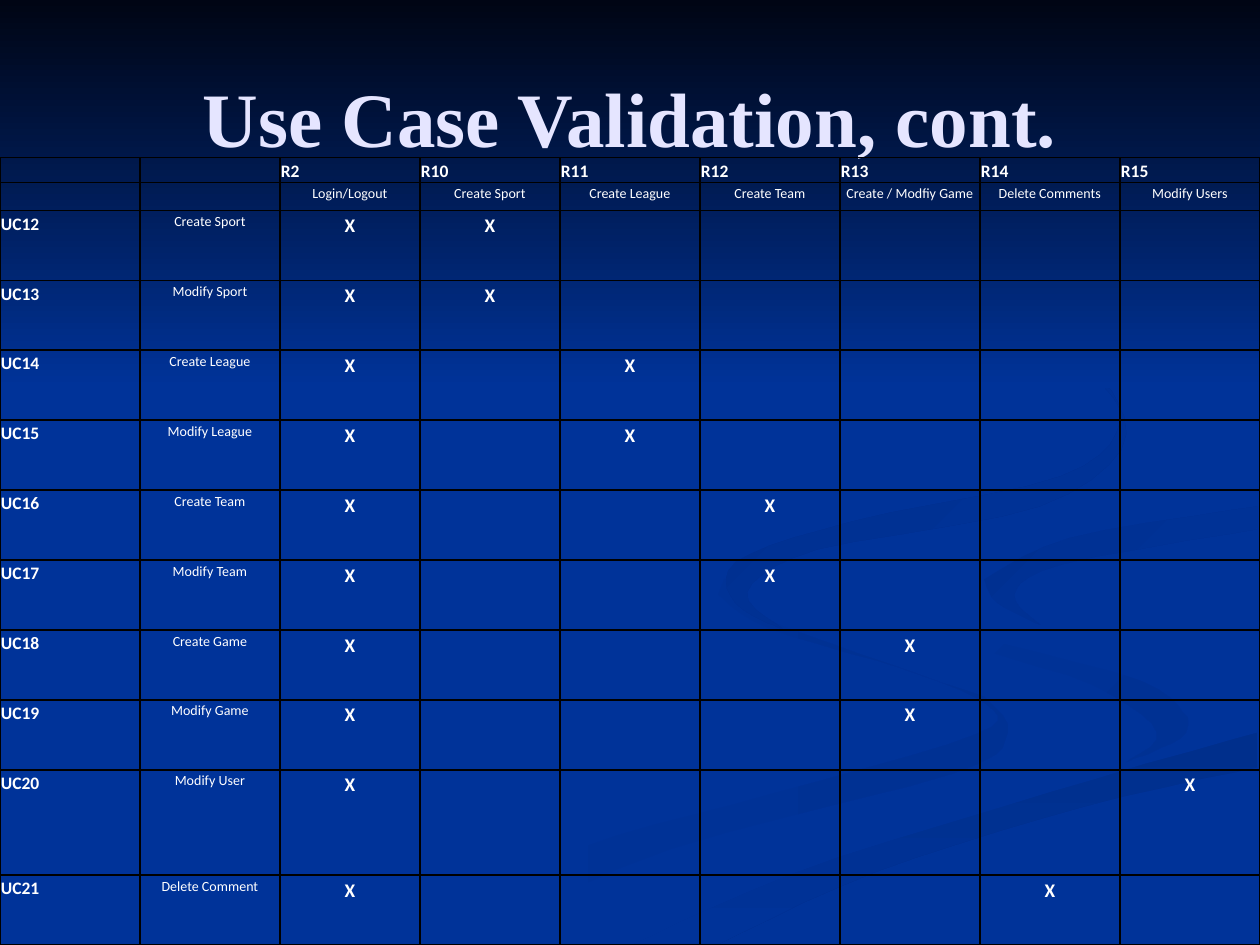
from dataclasses import dataclass
from typing import Optional

from lxml.etree import SubElement
from pptx import Presentation
from pptx.dml.color import RGBColor
from pptx.enum.shapes import MSO_SHAPE
from pptx.enum.text import MSO_ANCHOR, PP_ALIGN
from pptx.oxml.ns import qn
from pptx.util import Cm, Pt


@dataclass(frozen=True)
class Theme:
    base: str = "003399"
    night: str = "000514"
    title: str = "E5E5FF"
    text: str = "FFFFFF"
    border: str = "000000"
    title_font: str = "Times New Roman"
    body_font: str = "Calibri"
    title_size: int = 44
    code_size: int = 10
    name_size: int = 8
    mark_size: int = 11


@dataclass(frozen=True)
class Ribbon:
    start: str
    end: str
    angle: int
    edges: list  # smooth edges meeting at corners, in hundredths of an inch


@dataclass(frozen=True)
class Entry:
    text: str
    size: int
    bold: bool = True
    centred: bool = True


@dataclass(frozen=True)
class UseCase:
    code: str
    name: str
    requirement: str
    height: float = 1.41


T = Theme()
SLIDE_W, SLIDE_H = 25.4, 19.05
UNIT = Cm(0.0254)
CURVE_STEPS = 5

RIBBONS = [
    Ribbon(T.base, "003193", 0, [
        [(781, 553), (682, 519), (594, 485), (575, 459)],
        [(570, 472), (611, 499), (714, 530), (783, 559), (774, 583), (616, 629), (458, 674),
         (300, 749)],
        [(361, 749), (532, 674), (756, 614), (800, 581), (781, 553)]]),
    Ribbon(T.base, "003193", 45, [
        [(943, 570), (905, 540), (774, 503), (724, 464)],
        [(724, 464), (755, 505), (868, 544), (918, 581), (894, 605)],
        [(894, 605), (937, 586), (943, 570)]]),
    Ribbon("002F8C", T.base, 90, [
        [(571, 749), (695, 692), (861, 640), (998, 609)],
        [(998, 581), (831, 629), (630, 693), (503, 749)]]),
    Ribbon(T.base, T.base, 0, [
        [(725, 464), (775, 503), (905, 540), (943, 570), (911, 600), (704, 655), (477, 749)],
        [(503, 749), (630, 693), (832, 629), (999, 581)],
        [(999, 538), (866, 509), (781, 463), (850, 427), (999, 402)],
        [(999, 387), (851, 411), (742, 439), (725, 464)]]),
    Ribbon("003091", T.base, 45, [
        [(781, 460), (791, 478), (826, 496)],
        [(826, 496), (805, 472), (843, 448), (998, 420)],
        [(998, 402), (849, 427), (781, 460)]]),
    Ribbon("002F8E", T.base, 45, [
        [(762, 233), (862, 292), (889, 335), (842, 378), (676, 414), (584, 446), (584, 479),
         (622, 500)],
        [(622, 500), (593, 470), (649, 436), (825, 402), (894, 344), (843, 275), (762, 233)]]),
]

REQUIREMENTS = {
    "R2": "Login/Logout", "R10": "Create Sport", "R11": "Create League", "R12": "Create Team",
    "R13": "Create / Modfiy Game", "R14": "Delete Comments", "R15": "Modify Users",
}
SHARED_REQUIREMENT = "R2"
USE_CASES = [
    UseCase("UC12", "Create Sport", "R10"),
    UseCase("UC13", "Modify Sport", "R10"),
    UseCase("UC14", "Create League", "R11"),
    UseCase("UC15", "Modify League", "R11"),
    UseCase("UC16", "Create Team", "R12"),
    UseCase("UC17", "Modify Team", "R12"),
    UseCase("UC18", "Create Game", "R13"),
    UseCase("UC19", "Modify Game", "R13"),
    UseCase("UC20", "Modify User", "R15", 2.12),
    UseCase("UC21", "Delete Comment", "R14"),
]


def rgb(value: str) -> RGBColor:
    return RGBColor.from_string(value)


def paint(sp, start: str, end: str, angle: int) -> None:
    """Fill with a gradient whose angle runs clockwise."""
    sp.shadow.inherit = False
    sp.line.fill.background()
    sp.fill.gradient()
    sp.fill.gradient_angle = (360 - angle) % 360
    for stop, colour in zip(sp.fill.gradient_stops, (start, end)):
        stop.color.rgb = rgb(colour)


def smooth(edge: list[tuple]) -> list[tuple]:
    """Run a Catmull-Rom curve through the points of an edge."""
    padded = [edge[0], *edge, edge[-1]]
    curve = [edge[0]]
    for quad in zip(padded, padded[1:], padded[2:], padded[3:]):
        for step in range(1, CURVE_STEPS + 1):
            t = step / CURVE_STEPS
            curve.append(tuple(
                b + t * (c - a + t * (2 * a - 5 * b + 4 * c - d + t * (3 * (b - c) + d - a))) / 2
                for a, b, c, d in zip(*quad)))
    return curve


def add_ribbon(s, ribbon: Ribbon) -> None:
    points = [point for edge in ribbon.edges for point in smooth(edge)]
    builder = s.shapes.build_freeform(*points[0], scale=UNIT)
    builder.add_line_segments(points[1:], close=True)
    paint(builder.convert_to_shape(), ribbon.start, ribbon.end, ribbon.angle)


def add_run(p, text: str, font: str, size: int, colour: str, bold: bool) -> None:
    r = p.add_run()
    r.text = text
    r.font.name, r.font.size, r.font.bold = font, Pt(size), bold
    r.font.color.rgb = rgb(colour)


def add_borders(cell) -> None:
    tcPr = cell._tc.get_or_add_tcPr()
    for i, side in enumerate(("lnL", "lnR", "lnT", "lnB")):
        ln = SubElement(tcPr, qn(f"a:{side}"), w=str(Pt(1)))
        fill = SubElement(ln, qn("a:solidFill"))
        SubElement(fill, qn("a:srgbClr"), val=T.border)
        tcPr.insert(i, ln)


def fill_cell(cell, entry: Optional[Entry]) -> None:
    cell.fill.background()
    add_borders(cell)
    cell.margin_left = cell.margin_right = Cm(0.02)
    cell.margin_top = cell.margin_bottom = 0
    p = cell.text_frame.paragraphs[0]
    if entry is None:
        SubElement(p._p, qn("a:endParaRPr"), sz=str(T.name_size * 100))
        return
    p.line_spacing = 1.15
    p.alignment = PP_ALIGN.CENTER if entry.centred else PP_ALIGN.LEFT
    add_run(p, entry.text, T.body_font, entry.size, T.text, entry.bold)


def add_grid(s, top: float, heights: list[float], rows: list[list[Optional[Entry]]]) -> None:
    count = len(rows[0])
    table = s.shapes.add_table(len(rows), count, 0, Cm(top), Cm(SLIDE_W), Cm(sum(heights))).table
    table.first_row = table.horz_banding = False
    for column in table.columns:
        column.width = Cm(SLIDE_W / count)
    for i, (height, row) in enumerate(zip(heights, rows)):
        table.rows[i].height = Cm(height)
        for j, entry in enumerate(row):
            fill_cell(table.cell(i, j), entry)


def code(text: str) -> Entry:
    return Entry(text, T.code_size, centred=False)


def name(text: str) -> Entry:
    return Entry(text, T.name_size, bold=False)


def use_case_row(u: UseCase) -> list[Optional[Entry]]:
    mark = Entry("X", T.mark_size)
    met = (SHARED_REQUIREMENT, u.requirement)
    return [code(u.code), name(u.name), *(mark if r in met else None for r in REQUIREMENTS)]


def main() -> None:
    prs = Presentation()
    prs.slide_width, prs.slide_height = Cm(SLIDE_W), Cm(SLIDE_H)
    s = prs.slides.add_slide(prs.slide_layouts[6])

    # Background with ribbons and a dark top
    s.background.fill.solid()
    s.background.fill.fore_color.rgb = rgb(T.base)
    for ribbon in RIBBONS:
        add_ribbon(s, ribbon)
    sky = s.shapes.add_shape(MSO_SHAPE.RECTANGLE, 0, 0, Cm(SLIDE_W), Cm(7.82))
    paint(sky, T.night, T.base, 90)

    # Title
    tf = s.shapes.add_textbox(Cm(1.27), Cm(0.76), Cm(22.86), Cm(3.18)).text_frame
    tf.word_wrap = True
    tf.vertical_anchor = MSO_ANCHOR.MIDDLE
    p = tf.paragraphs[0]
    p.alignment = PP_ALIGN.CENTER
    add_run(p, "Use Case Validation, cont.", T.title_font, T.title_size, T.title, True)

    # Requirement headings
    add_grid(s, 3.18, [0.5, 0.56], [
        [None, None, *map(code, REQUIREMENTS)],
        [None, None, *map(name, REQUIREMENTS.values())],
    ])

    # Use cases marked against requirements
    add_grid(s, 4.24, [u.height for u in USE_CASES], [use_case_row(u) for u in USE_CASES])

    prs.save("out.pptx")


if __name__ == "__main__":
    main()
